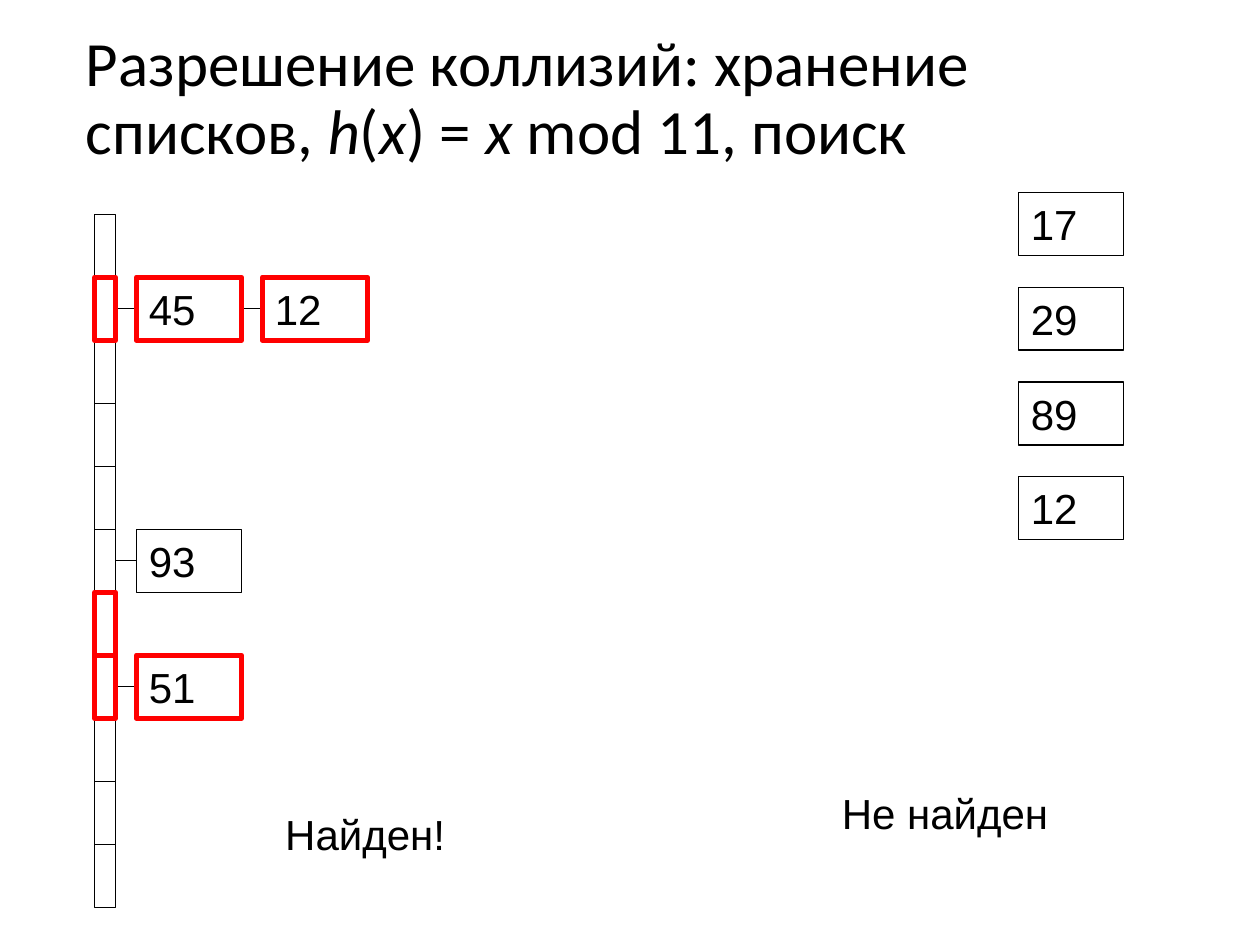
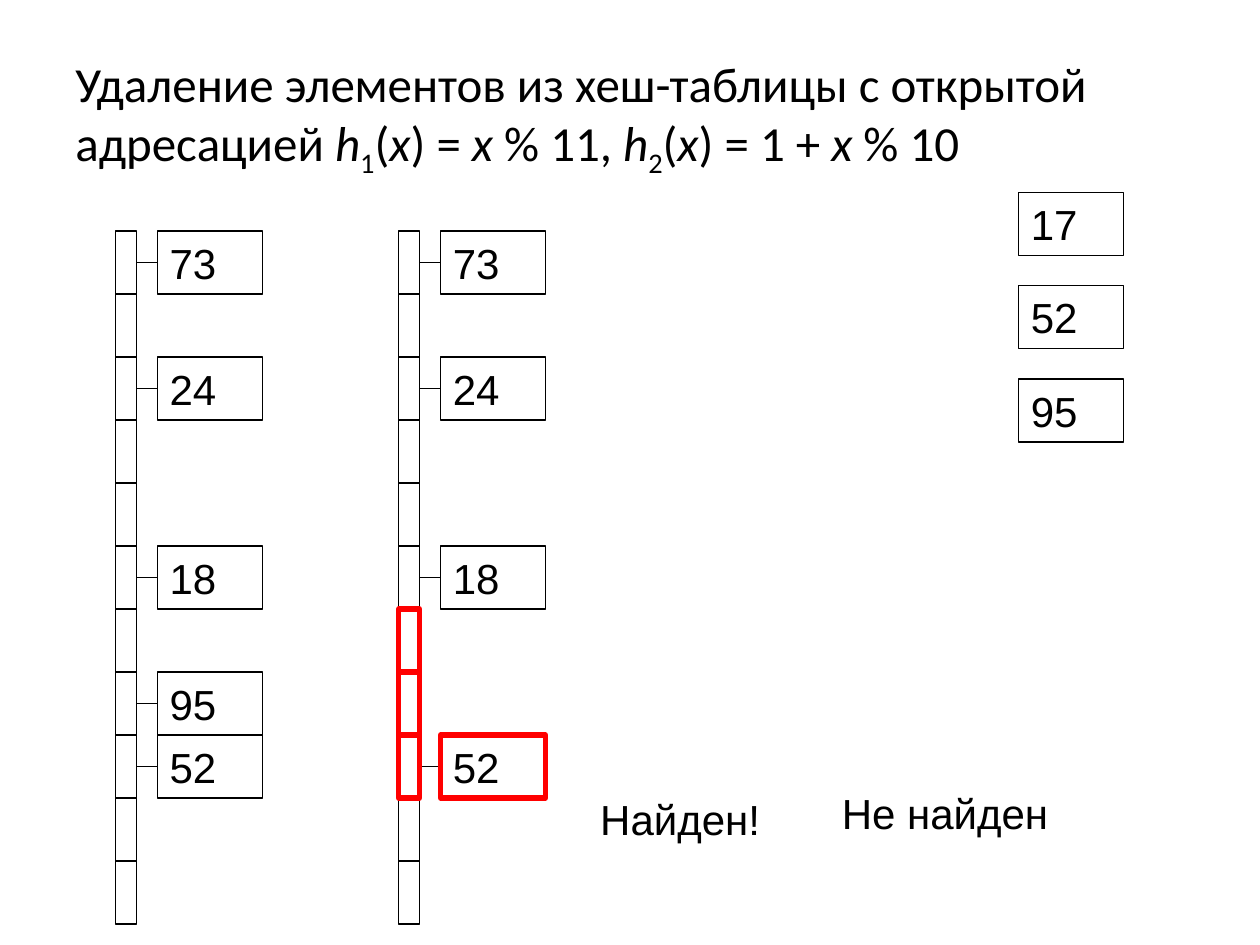
from dataclasses import dataclass

from lxml.etree import SubElement
from pptx import Presentation
from pptx.dml.color import RGBColor
from pptx.enum.shapes import MSO_CONNECTOR, MSO_SHAPE
from pptx.enum.text import MSO_ANCHOR, PP_ALIGN
from pptx.oxml.ns import qn
from pptx.util import Cm, Pt


@dataclass(frozen=True)
class Theme:
    """Colours, fonts, type sizes and line widths of all slides."""
    ink: RGBColor = RGBColor(0, 0, 0)
    visited: RGBColor = RGBColor(255, 0, 0)
    title_font: str = "Calibri"
    body_font: str = "Arial"
    body_size: int = 24
    large_title: int = 36
    small_title: int = 28
    thin: float = 0.75
    thick: float = 3


THEME = Theme()
SLOT_COUNT = 11
SLOT_WIDTH = 0.42
LINK_WIDTH = 0.42
KEY_WIDTH = 2.12
ROW_HEIGHT = 1.27
QUERY_LEFT, QUERY_TOP = 20.53, 3.88

X = ("x", "italic")
LIST_TITLE = [
    ("Разрешение коллизий: хранение списков, ", ""), ("h", "italic"), ("(", ""), X,
    (") = ", ""), ("x ", "italic"), ("mod 11, поиск", ""),
]
DELETION_TITLE = [
    ("Удаление элементов из хеш-таблицы с открытой адресацией ", ""),
    ("h", "italic"), ("1", "subscript"), ("(", ""), X, (") = ", ""),
    ("x ", "italic"), ("% 11, ", ""),
    ("h", "italic"), ("2", "subscript"), ("(", ""), X, (") = 1 + ", ""),
    ("x ", "italic"), ("% 10", ""),
]


@dataclass(frozen=True)
class HashTable:
    """Position of a column of slots and of the keys chained to them."""
    left: float
    top: float

    def row_top(self, row):
        """Return the top of a row."""
        return self.top + row * ROW_HEIGHT

    def key_left(self, position):
        """Return the left edge of a key in a chain."""
        return self.left + SLOT_WIDTH + LINK_WIDTH + position * (KEY_WIDTH + LINK_WIDTH)


def style_run(run, font_name, size):
    """Apply font, size and ink colour to a run."""
    run.font.name = font_name
    run.font.size = Pt(size)
    run.font.color.rgb = THEME.ink


def write_body(text_frame, text):
    """Write one line of body text."""
    text_frame.word_wrap = True
    text_frame.vertical_anchor = MSO_ANCHOR.TOP
    text_frame.text = text
    paragraph = text_frame.paragraphs[0]
    paragraph.alignment = PP_ALIGN.LEFT
    spacing = SubElement(paragraph._p.get_or_add_pPr(), qn("a:spcBef"))
    SubElement(spacing, qn("a:spcPct")).set("val", "50000")
    style_run(paragraph.runs[0], THEME.body_font, THEME.body_size)


def add_title(slide, left, top, width, parts, size):
    """Add a title made of plain, italic and subscript parts."""
    box = slide.shapes.add_textbox(Cm(left), Cm(top), Cm(width), Cm(3.18))
    text_frame = box.text_frame
    text_frame.word_wrap = True
    text_frame.vertical_anchor = MSO_ANCHOR.MIDDLE
    paragraph = text_frame.paragraphs[0]
    paragraph.line_spacing = 0.9
    for text, style in parts:
        run = paragraph.add_run()
        run.text = text
        style_run(run, THEME.title_font, size)
        run.font.italic = style == "italic"
        if style == "subscript":
            run.font._element.set("baseline", "-25000")


def add_label(slide, left, top, width, text):
    """Add a search result label."""
    box = slide.shapes.add_textbox(Cm(left), Cm(top), Cm(width), Cm(ROW_HEIGHT))
    write_body(box.text_frame, text)


def add_cell(shapes, left, top, width, color=THEME.ink, weight=THEME.thin):
    """Add an unfilled rectangle one row high."""
    shape = shapes.add_shape(
        MSO_SHAPE.RECTANGLE, Cm(left), Cm(top), Cm(width), Cm(ROW_HEIGHT))
    shape.shadow.inherit = False
    shape.fill.background()
    shape.line.color.rgb = color
    shape.line.width = Pt(weight)
    return shape


def add_key(slide, left, top, key):
    """Add a box with a key."""
    write_body(add_cell(slide.shapes, left, top, KEY_WIDTH).text_frame, str(key))


def add_link(slide, right, middle):
    """Add the line that leads to a key box."""
    connector = slide.shapes.add_connector(
        MSO_CONNECTOR.STRAIGHT, Cm(right - LINK_WIDTH), Cm(middle), Cm(right), Cm(middle))
    connector.line.color.rgb = THEME.ink
    connector.line.width = Pt(THEME.thin)
    SubElement(connector._element.spPr, qn("a:effectLst"))


def add_hash_table(slide, table, chains):
    """Add the slots and the chain of keys of each occupied row."""
    slots = slide.shapes.add_group_shape()
    for row in range(SLOT_COUNT):
        add_cell(slots.shapes, table.left, table.row_top(row), SLOT_WIDTH)
    for row, keys in chains.items():
        top = table.row_top(row)
        for position, key in enumerate(keys):
            left = table.key_left(position)
            add_link(slide, left, top + ROW_HEIGHT / 2)
            add_key(slide, left, top, key)


def mark_visited(slide, table, visits):
    """Frame visited slots and the given number of keys in each row."""
    for row, key_count in visits.items():
        cells = [(table.left, SLOT_WIDTH)]
        cells += [(table.key_left(position), KEY_WIDTH) for position in range(key_count)]
        for left, width in cells:
            add_cell(slide.shapes, left, table.row_top(row), width,
                     THEME.visited, THEME.thick)


def add_queries(slide, keys, step):
    """Add the column of searched keys."""
    for index, key in enumerate(keys):
        add_key(slide, QUERY_LEFT, QUERY_TOP + index * step, key)


def add_results(slide, found_left, found_top):
    """Add both search result labels."""
    add_label(slide, 16.72, 15.75, 6.99, "Не найден")
    add_label(slide, found_left, found_top, 4.02, "Найден!")


def build_list_search(slide):
    """Build the slide on searching in chained lists."""
    table = HashTable(1.91, 4.32)
    add_title(slide, 1.48, 0.43, 22.86, LIST_TITLE, THEME.large_title)
    add_hash_table(slide, table, {1: [45, 12], 5: [93], 7: [51]})
    mark_visited(slide, table, {6: 0, 7: 1, 1: 2})
    add_queries(slide, [17, 29, 89, 12], 1.91)
    add_results(slide, 5.5, 16.18)


def build_deletion(slide):
    """Build the slide on deletion with open addressing."""
    before, after = HashTable(2.33, 4.66), HashTable(8.04, 4.66)
    remaining = {0: [73], 2: [24], 5: [18], 8: [52]}
    add_title(slide, 1.27, 0.76, 23.71, DELETION_TITLE, THEME.small_title)
    add_hash_table(slide, before, {**remaining, 7: [95]})
    add_hash_table(slide, after, remaining)
    mark_visited(slide, after, {6: 0, 7: 0, 8: 1})
    add_queries(slide, [17, 52, 95], 1.88)
    add_results(slide, 11.85, 15.88)


def main():
    """Build and save the presentation."""
    presentation = Presentation()
    presentation.slide_width = Cm(25.4)
    presentation.slide_height = Cm(19.05)
    blank = presentation.slide_layouts[6]
    for build in (build_list_search, build_deletion):
        build(presentation.slides.add_slide(blank))
    presentation.save("out.pptx")


if __name__ == "__main__":
    main()
